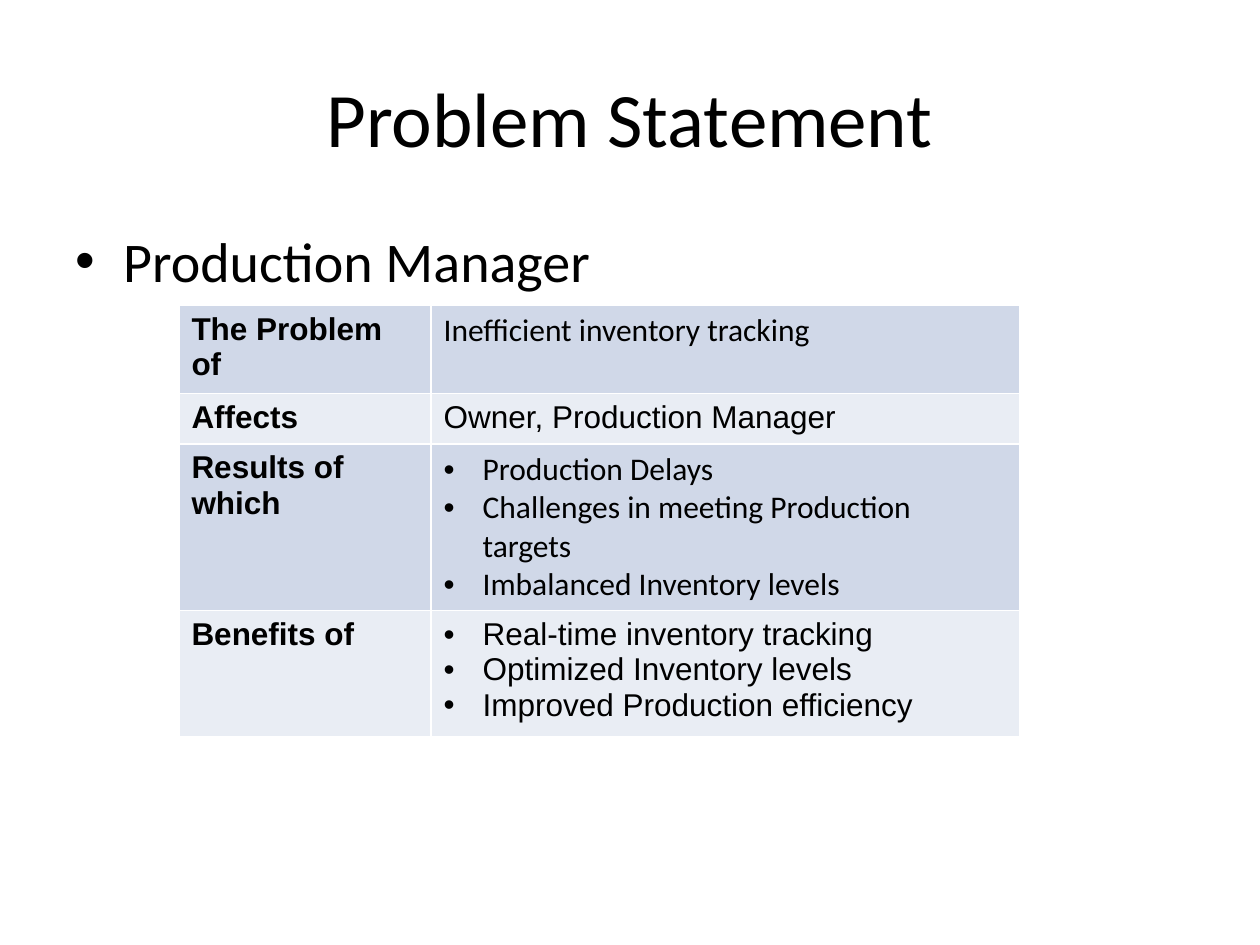
from dataclasses import dataclass
from typing import Any

import lxml.etree
import pptx
import pptx.dml.color
import pptx.enum.text
import pptx.oxml.ns
import pptx.util

BLACK = pptx.dml.color.RGBColor(0x00, 0x00, 0x00)
WHITE = pptx.dml.color.RGBColor(0xFF, 0xFF, 0xFF)
BANDS = (
    pptx.dml.color.RGBColor(0xD0, 0xD8, 0xE8),
    pptx.dml.color.RGBColor(0xE9, 0xED, 0xF4),
)
WIDTH = pptx.util.Inches(10)
HEIGHT = pptx.util.Inches(7.5)
COLUMN_SHARES = (0.3, 0.7)


@dataclass(frozen=True)
class Area:
    left: float
    top: float
    width: float
    height: float

    def lengths(self) -> tuple[int, int, int, int]:
        return (
            int(self.left * WIDTH),
            int(self.top * HEIGHT),
            int(self.width * WIDTH),
            int(self.height * HEIGHT),
        )


@dataclass(frozen=True)
class Statement:
    label: str
    details: tuple[str, ...]
    font: str
    share: float


TITLE_AREA = Area(0.05, 0.04, 0.9, 0.167)
BODY_AREA = Area(0.05, 0.233, 0.9, 0.66)
TABLE_AREA = Area(0.142, 0.323, 0.667, 0.441)
STATEMENTS = (
    Statement("The Problem of", ("Inefficient inventory tracking",), "Calibri", 0.2),
    Statement("Affects", ("Owner, Production Manager",), "Arial", 0.12),
    Statement(
        "Results of which",
        (
            "Production Delays",
            "Challenges in meeting Production targets",
            "Imbalanced Inventory levels",
        ),
        "Calibri",
        0.4,
    ),
    Statement(
        "Benefits of",
        (
            "Real-time inventory tracking",
            "Optimized Inventory levels",
            "Improved Production efficiency",
        ),
        "Arial",
        0.28,
    ),
)


def add_element(parent: Any, tag: str, **attributes: str) -> Any:
    return lxml.etree.SubElement(parent, pptx.oxml.ns.qn(tag), attributes)


def write_text(
    frame: Any,
    *lines: str,
    font: str = "Calibri",
    size: float = 18,
    bold: bool = False,
    indent: float = 0,
    before: float = 0,
    align: Any = pptx.enum.text.PP_ALIGN.LEFT,
) -> None:
    frame.word_wrap = True
    for index, line in enumerate(lines):
        para = frame.add_paragraph() if index else frame.paragraphs[0]
        para.alignment = align
        para.space_before = pptx.util.Pt(before)
        if indent:
            properties = para._p.get_or_add_pPr()
            hang = pptx.util.Inches(indent)
            properties.set("marL", str(hang))
            properties.set("indent", str(-hang))
            add_element(properties, "a:buFont", typeface="Arial")
            add_element(properties, "a:buChar", char="•")
        span = para.add_run()
        span.text = line
        span.font.name = font
        span.font.size = pptx.util.Pt(size)
        span.font.bold = bold
        span.font.color.rgb = BLACK


def format_cell(cell: Any, color: pptx.dml.color.RGBColor) -> None:
    properties = cell._tc.get_or_add_tcPr()
    for side in ("a:lnL", "a:lnR", "a:lnT", "a:lnB"):
        line = add_element(properties, side, w=str(pptx.util.Pt(1)))
        add_element(add_element(line, "a:solidFill"), "a:srgbClr", val=str(WHITE))
    cell.fill.solid()
    cell.fill.fore_color.rgb = color


def add_statements(page: Any, area: Area, statements: tuple[Statement, ...]) -> None:
    left, top, width, height = area.lengths()
    table = page.shapes.add_table(
        len(statements), len(COLUMN_SHARES), left, top, width, height
    ).table
    table.first_row = False
    table.horz_banding = False
    for column, share in zip(table.columns, COLUMN_SHARES):
        column.width = int(width * share)
    for index, statement in enumerate(statements):
        row = table.rows[index]
        row.height = int(height * statement.share)
        label, detail = row.cells
        write_text(label.text_frame, statement.label, font="Arial", bold=True)
        write_text(
            detail.text_frame,
            *statement.details,
            font=statement.font,
            indent=0.31 if len(statement.details) > 1 else 0,
        )
        for cell in (label, detail):
            format_cell(cell, BANDS[index % len(BANDS)])


def main() -> None:
    deck = pptx.Presentation()
    deck.slide_width = WIDTH
    deck.slide_height = HEIGHT
    page = deck.slides.add_slide(deck.slide_layouts[6])
    title = page.shapes.add_textbox(*TITLE_AREA.lengths()).text_frame
    title.vertical_anchor = pptx.enum.text.MSO_ANCHOR.MIDDLE
    write_text(
        title, "Problem Statement", size=44, align=pptx.enum.text.PP_ALIGN.CENTER
    )
    body = page.shapes.add_textbox(*BODY_AREA.lengths()).text_frame
    write_text(body, "Production Manager", size=32, indent=0.38, before=6.4)
    add_statements(page, TABLE_AREA, STATEMENTS)
    deck.save("out.pptx")


if __name__ == "__main__":
    main()
